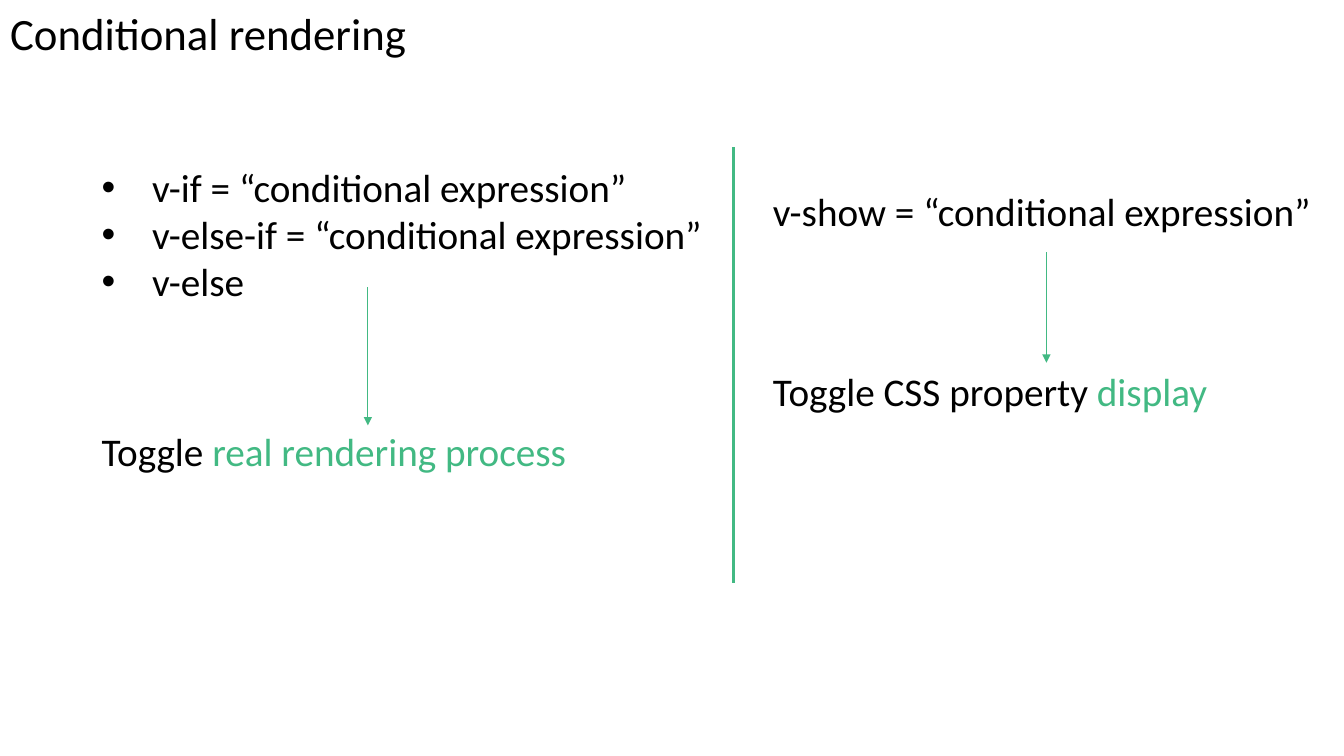
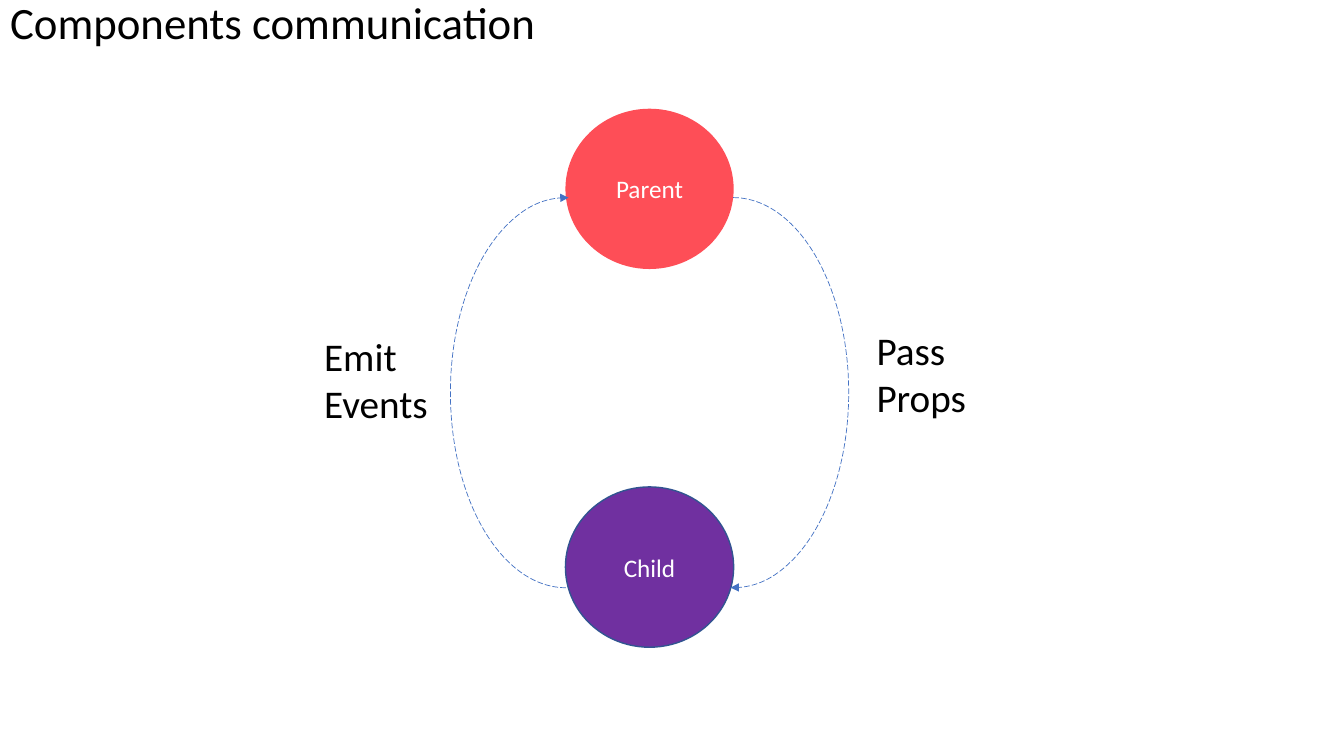
from lxml import etree
from pptx import Presentation
from pptx.dml.color import RGBColor
from pptx.enum import dml, shapes, text
from pptx.oxml import ns
from pptx.util import Cm, Pt

BLACK = RGBColor(0x00, 0x00, 0x00)
WHITE = RGBColor(0xFF, 0xFF, 0xFF)
GREEN = RGBColor(0x42, 0xB9, 0x83)
RED = RGBColor(0xFE, 0x4E, 0x57)
PURPLE = RGBColor(0x70, 0x30, 0xA0)
NAVY = RGBColor(0x32, 0x54, 0x91)
BLUE = RGBColor(0x44, 0x72, 0xC4)

TITLE_AND_CONTENT, TITLE_ONLY = 1, 5


class Deck:
    """Holds the shared style and the slide being filled."""

    font_name = "Calibri"
    title_size, body_size, node_size = Pt(32), Pt(28), Pt(18)

    def __init__(self):
        self.presentation = Presentation()
        self.presentation.slide_width = Cm(33.87)
        self.presentation.slide_height = Cm(19.05)
        self.slide = None

    def new_slide(self, layout, title, width, height, line_spacing=1.0):
        layouts = self.presentation.slide_layouts
        self.slide = self.presentation.slides.add_slide(layouts[layout])
        heading = self.slide.shapes.title
        self.place(heading, 0, 0, width, height)
        frame = heading.text_frame
        frame.auto_size = text.MSO_AUTO_SIZE.NONE
        frame.vertical_anchor = text.MSO_ANCHOR.MIDDLE
        frame.text = title
        frame.paragraphs[0].line_spacing = line_spacing
        self.style(frame.paragraphs[0], self.title_size)

    def place(self, shape, left, top, width, height):
        shape.left, shape.top = Cm(left), Cm(top)
        shape.width, shape.height = Cm(width), Cm(height)

    def style(self, paragraph, size, color=BLACK, align=text.PP_ALIGN.LEFT):
        paragraph.alignment = align
        paragraph.font.name = self.font_name
        paragraph.font.size = size
        paragraph.font.color.rgb = color

    def bullets(self, items, left, top, width, height):
        body = self.slide.placeholders[1]
        self.place(body, left, top, width, height)
        frame = body.text_frame
        frame.auto_size = text.MSO_AUTO_SIZE.NONE
        frame.text = "\n".join(items)
        for paragraph in frame.paragraphs:
            self.style(paragraph, self.body_size)
            paragraph.space_before = Pt(0)
            properties = paragraph._p.get_or_add_pPr()
            properties.set("marL", str(Cm(1.27)))
            properties.set("indent", str(-Cm(1.27)))

    def label(self, lines, left, top, width, height, highlight=None):
        """Add body text, with an optional green ending on its last line."""
        box = self.slide.shapes.add_textbox(Cm(left), Cm(top), Cm(width), Cm(height))
        frame = box.text_frame
        frame.word_wrap = True
        frame.text = lines
        for paragraph in frame.paragraphs:
            self.style(paragraph, self.body_size)
        if highlight:
            ending = frame.paragraphs[-1].add_run()
            ending.text = highlight
            ending.font.color.rgb = GREEN

    def arrowhead(self, line):
        properties = line._get_or_add_ln()
        etree.SubElement(properties, ns.qn("a:tailEnd"), type="triangle")

    def vertical_line(self, x, top, bottom, width, arrow=False):
        connector = self.slide.shapes.add_connector(
            shapes.MSO_CONNECTOR.STRAIGHT, Cm(x), Cm(top), Cm(x), Cm(bottom))
        connector.line.color.rgb = GREEN
        connector.line.width = Pt(width)
        if arrow:
            self.arrowhead(connector.line)
        etree.SubElement(connector._element.spPr, ns.qn("a:effectLst"))

    def shape(self, kind, left, top, width, height):
        shape = self.slide.shapes.add_shape(
            kind, Cm(left), Cm(top), Cm(width), Cm(height))
        shape.shadow.inherit = False
        return shape

    def node(self, name, top, fill, outline=None):
        circle = self.shape(shapes.MSO_SHAPE.FLOWCHART_CONNECTOR, 14.25, top, 4.24, 4.04)
        circle.fill.solid()
        circle.fill.fore_color.rgb = fill
        if outline:
            circle.line.color.rgb = outline
            circle.line.width = Pt(1)
        else:
            circle.line.fill.background()
        frame = circle.text_frame
        frame.vertical_anchor = text.MSO_ANCHOR.MIDDLE
        frame.text = name
        self.style(frame.paragraphs[0], self.node_size, WHITE, text.PP_ALIGN.CENTER)

    def arc_arrow(self, left, rotation):
        arc = self.shape(shapes.MSO_SHAPE.ARC, left, 4.98, 5.82, 9.83)
        arc.rotation = rotation
        arc.adjustments[0] = 162
        arc.adjustments[1] = 54.47
        arc.fill.background()
        arc.line.color.rgb = BLUE
        arc.line.width = Pt(0.5)
        arc.line.dash_style = dml.MSO_LINE.LONG_DASH
        self.arrowhead(arc.line)


def conditional_rendering(deck):
    deck.new_slide(TITLE_AND_CONTENT, "Conditional rendering", 10.77, 1.63)
    deck.bullets(["v-if = “conditional expression”",
                  "v-else-if = “conditional expression”",
                  "v-else"], 2.31, 3.99, 16.92, 3.84)
    deck.vertical_line(9.27, 7.24, 10.72, 0.5, arrow=True)
    deck.label("Toggle ", 2.31, 10.64, 14.3, 1.45, highlight="real rendering process")

    deck.vertical_line(18.49, 3.71, 14.68, 2)

    deck.label("v-show = “conditional expression”", 19.23, 4.6, 14.3, 2.64)
    deck.vertical_line(26.37, 6.35, 9.14, 0.5, arrow=True)
    deck.label("Toggle CSS property ", 19.23, 9.14, 14.3, 1.45, highlight="display")


def components_communication(deck):
    deck.new_slide(TITLE_ONLY, "Components communication", 22.81, 1.24, line_spacing=0.9)
    deck.node("Parent", 2.74, RED)
    deck.node("Child", 12.27, PURPLE, NAVY)
    deck.arc_arrow(15.57, 0)
    deck.arc_arrow(11.35, 180)
    deck.label("Pass Props", 21.84, 8.1, 3.12, 2.64)
    deck.label("Emit\nEvents", 7.92, 8.26, 3.12, 2.64)


def main():
    deck = Deck()
    conditional_rendering(deck)
    components_communication(deck)
    deck.presentation.save("out.pptx")


if __name__ == "__main__":
    main()
